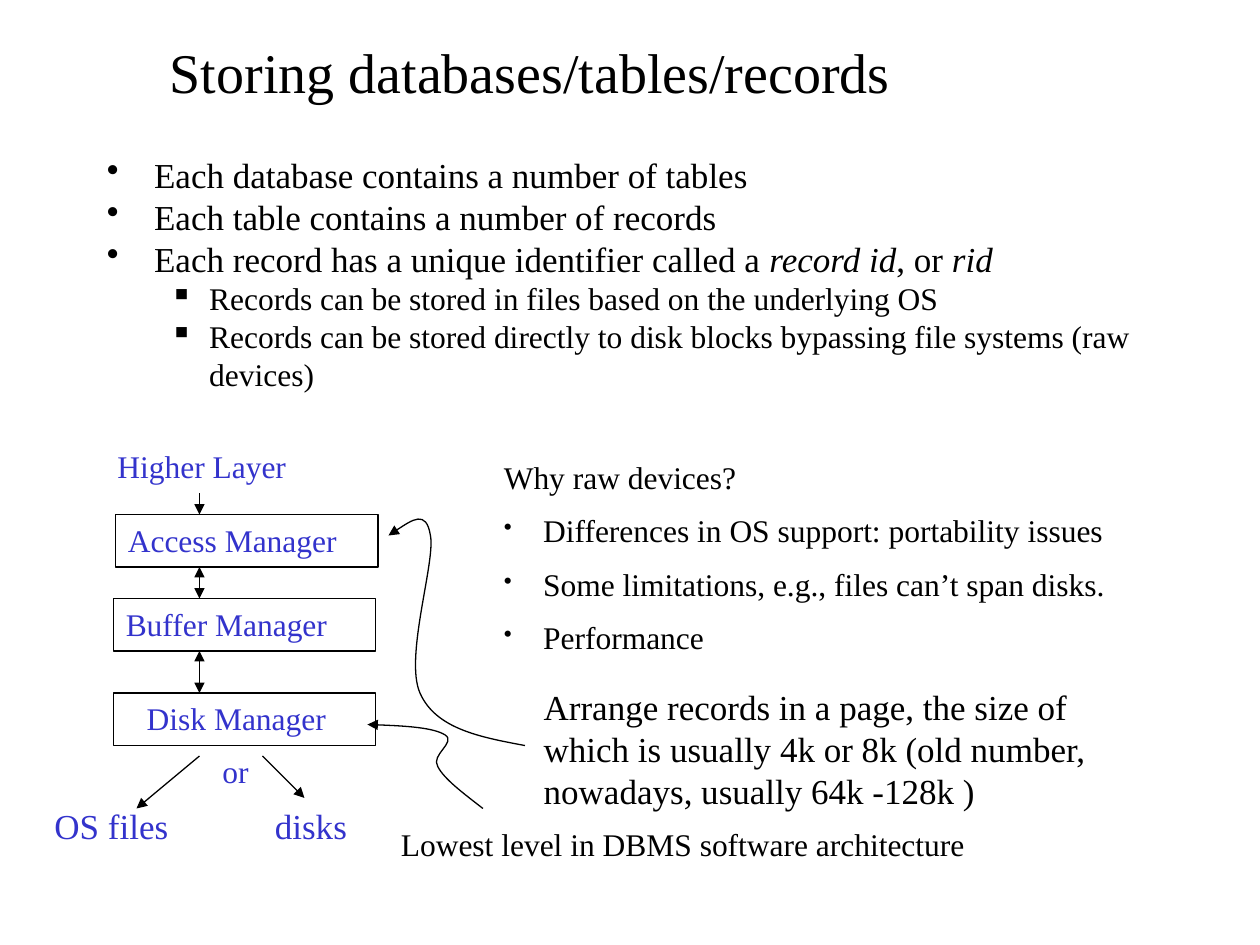
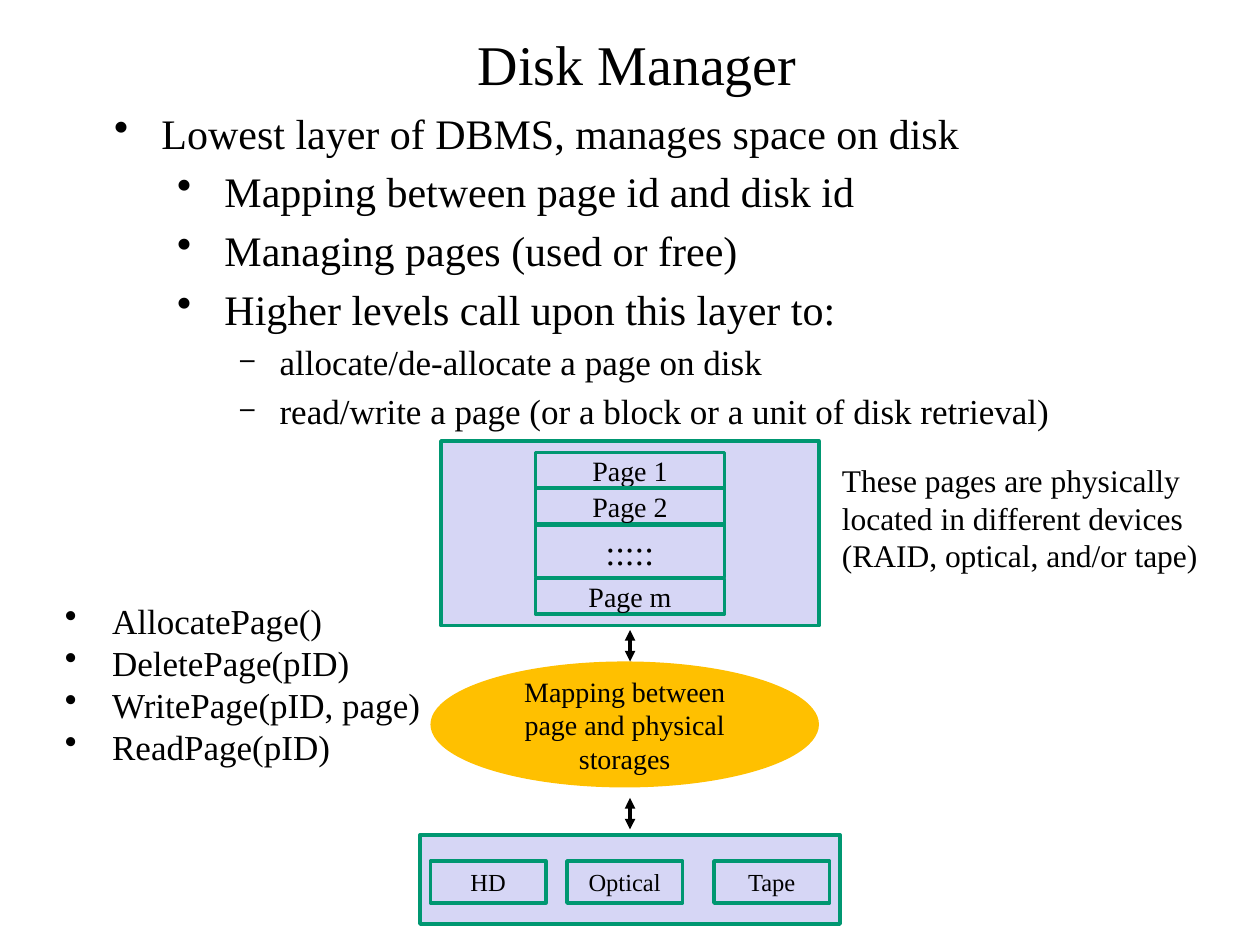
from dataclasses import dataclass
from typing import NamedTuple, Optional

from lxml import etree
from pptx import Presentation
from pptx import util as u
from pptx.dml.color import RGBColor
from pptx.enum import shapes, text
from pptx.oxml.ns import qn

# Shared look
FONT = "Times New Roman"
BLACK = RGBColor(0x00, 0x00, 0x00)
BLUE = RGBColor(0x33, 0x33, 0xCC)
LILAC = RGBColor(0xD6, 0xD6, 0xF5)
GREEN = RGBColor(0x00, 0x97, 0x71)
AMBER = RGBColor(0xFF, 0xC0, 0x00)
TITLE_SIZE = 32
THIN, THICK = 0.75, 2

# Grid of square cells
WIDTH, HEIGHT = u.Inches(10), u.Inches(7.5)
COLS = 120

LEFT, CENTER = text.PP_ALIGN.LEFT, text.PP_ALIGN.CENTER
TOP, MIDDLE = text.MSO_ANCHOR.TOP, text.MSO_ANCHOR.MIDDLE
RECT, OVAL = shapes.MSO_SHAPE.RECTANGLE, shapes.MSO_SHAPE.OVAL


class Box(NamedTuple):
    col: float
    row: float
    cols: float
    rows: float


class Point(NamedTuple):
    col: float
    row: float


class Run(NamedTuple):
    text: str
    italic: bool = False


@dataclass(frozen=True)
class Bullet:
    indent: float
    hang: float
    char: str = "•"
    percent: int = 100
    level: int = 0


@dataclass(frozen=True)
class Para:
    runs: tuple[Run, ...]
    size: float
    bullet: Optional[Bullet] = None
    space: float = 0  # share of the text size


@dataclass(frozen=True)
class Label:
    box: Box
    paras: list[Para]
    color: RGBColor = BLACK
    wrap: bool = False
    align: text.PP_ALIGN = LEFT
    anchor: text.MSO_ANCHOR = TOP


@dataclass(frozen=True)
class Node:
    box: Box
    caption: str = ""
    size: float = 16
    fill: Optional[RGBColor] = None
    line: Optional[RGBColor] = GREEN
    weight: float = THICK
    kind: shapes.MSO_SHAPE = RECT


@dataclass(frozen=True)
class Arrow:
    points: list[Point]  # two for a line, 3n + 1 for a curve
    head: bool = False
    tail: bool = True
    weight: float = THIN


def cell(n: float) -> u.Emu:
    return u.Emu(round(WIDTH * n / COLS))


def place(box: tuple[float, ...]) -> list[u.Emu]:
    return [cell(n) for n in box]


def paras(size: float, *lines: str, bullet: Optional[Bullet] = None,
          space: float = 0) -> list[Para]:
    return [Para((Run(line),), size, bullet, space) for line in lines]


# Text
def add_bullet(p, bullet: Bullet) -> None:
    p.level = bullet.level
    pPr = p._p.get_or_add_pPr()
    pPr.set("marL", str(cell(bullet.indent)))
    pPr.set("indent", str(-cell(bullet.hang)))
    color = etree.SubElement(pPr, qn("a:buClr"))
    etree.SubElement(color, qn("a:srgbClr"), val=str(BLACK))
    etree.SubElement(pPr, qn("a:buSzPct"), val=str(bullet.percent * 1000))
    etree.SubElement(pPr, qn("a:buChar"), char=bullet.char)


def write(tf, content: list[Para], color: RGBColor, align: text.PP_ALIGN,
          anchor: text.MSO_ANCHOR) -> None:
    tf.vertical_anchor = anchor
    for i, para in enumerate(content):
        p = tf.add_paragraph() if i else tf.paragraphs[0]
        if para.bullet:
            add_bullet(p, para.bullet)
        p.alignment = align
        if i and para.space:
            p.space_before = u.Pt(para.space * para.size)
        for run in para.runs:
            r = p.add_run()
            r.text = run.text
            r.font.name = FONT
            r.font.size = u.Pt(para.size)
            r.font.italic = run.italic
            r.font.color.rgb = color


def add_label(s, label: Label) -> None:
    tf = s.shapes.add_textbox(*place(label.box)).text_frame
    tf.word_wrap = label.wrap
    write(tf, label.paras, label.color, label.align, label.anchor)


# Shapes and arrows
def add_node(s, node: Node) -> None:
    sp = s.shapes.add_shape(node.kind, *place(node.box))
    sp.shadow.inherit = False
    if node.fill is None:
        sp.fill.background()
    else:
        sp.fill.solid()
        sp.fill.fore_color.rgb = node.fill
    if node.line is None:
        sp.line.fill.background()
    else:
        sp.line.color.rgb = node.line
        sp.line.width = u.Pt(node.weight)
    if node.caption:
        write(sp.text_frame, paras(node.size, node.caption), BLACK, CENTER, MIDDLE)


def add_curve(s, points: list[Point]):
    start, *rest = [place(point) for point in points]
    builder = s.shapes.build_freeform(*start)
    builder.add_line_segments(rest, close=False)
    sp = builder.convert_to_shape()
    sp.fill.background()
    # Every three segments become one Bézier piece
    outline = next(sp._element.iter(qn("a:path")))
    steps = outline.findall(qn("a:lnTo"))
    for i in range(0, len(steps), 3):
        bezier = etree.SubElement(outline, qn("a:cubicBezTo"))
        for step in steps[i:i + 3]:
            bezier.append(step[0])
            outline.remove(step)
    return sp


def add_arrow(s, arrow: Arrow) -> None:
    if len(arrow.points) == 2:
        start, end = arrow.points
        sp = s.shapes.add_connector(shapes.MSO_CONNECTOR.STRAIGHT,
                                    *place(start + end))
    else:
        sp = add_curve(s, arrow.points)
    sp.line.color.rgb = BLACK
    sp.line.width = u.Pt(arrow.weight)
    ln = sp.line._get_or_add_ln()
    for shown, tag in ((arrow.head, "a:headEnd"), (arrow.tail, "a:tailEnd")):
        if shown:
            etree.SubElement(ln, qn(tag), type="triangle")
    etree.SubElement(sp._element.spPr, qn("a:effectLst"))


def build_slide(prs, labels: list[Label], nodes: list[Node],
                arrows: list[Arrow]) -> None:
    s = prs.slides.add_slide(prs.slide_layouts[6])
    for node in nodes:
        add_node(s, node)
    for arrow in arrows:
        add_arrow(s, arrow)
    for label in labels:
        add_label(s, label)


# Bullet styles
MAIN = Bullet(4.5, 4.5)
SQUARE = Bullet(9.75, 3.75, "▪", level=1)
SMALL = Bullet(3.75, 3.75, percent=75)
SECOND = Bullet(10.5, 4.5, level=1)
DASH = Bullet(15.75, 3.75, "–", 75, 2)


def storing_slide(prs) -> None:
    facts = [
        *paras(20, "Each database contains a number of tables",
               "Each table contains a number of records", bullet=MAIN),
        Para((Run("Each record has a unique identifier called a "),
              Run("record id", True), Run(", or "), Run("rid", True)), 20, MAIN),
        *paras(18, "Records can be stored in files based on the underlying OS",
               "Records can be stored directly to disk blocks bypassing "
               "file systems (raw devices)", bullet=SQUARE),
    ]
    reasons = paras(18, "Why raw devices?") + paras(
        18, "Differences in OS support: portability issues",
        "Some limitations, e.g., files can’t span disks.", "Performance",
        bullet=SMALL, space=0.5)
    page_size = paras(20, "Arrange records in a page, the size of which is usually "
                          "4k or 8k (old number, nowadays, usually 64k -128k )")
    layers = [
        (Box(10, 42, 18.7, 4.8), "Higher Layer", 18),
        (Box(11, 49, 22.6, 4.8), "Access Manager", 18),
        (Box(10.8, 57, 21.8, 4.8), "Buffer Manager", 18),
        (Box(12.8, 66, 19.7, 4.8), "Disk Manager", 18),
        (Box(20, 71, 4.9, 4.8), "or", 18),
        (Box(4, 76, 13.3, 5.3), "OS files", 20),
        (Box(25, 76, 9.4, 5.3), "disks", 20),
    ]
    labels = [
        Label(Box(15, 3, 71.8, 7.7), paras(TITLE_SIZE, "Storing databases/tables/records")),
        Label(Box(9, 14, 105.8, 24.2), facts, wrap=True),
        Label(Box(46.8, 43, 70, 21.1), reasons, wrap=True),
        Label(Box(50.6, 64.7, 54.2, 13.3), page_size, wrap=True),
        Label(Box(37, 78, 56.6, 4.8),
              paras(18, "Lowest level in DBMS software architecture")),
        *[Label(box, paras(size, name), BLUE) for box, name, size in layers],
    ]
    frames = [Node(Box(col, row, 25, 5), line=BLACK, weight=THIN)
              for col, row in ((11, 49), (10.8, 57), (10.8, 66))]
    to_disk_manager = [Point(46, 77),
                       Point(44.2, 75.6), Point(42.3, 74.2), Point(41.7, 73),
                       Point(41, 71.9), Point(43.5, 70.7), Point(42.4, 70),
                       Point(41.3, 69.3), Point(38.2, 69.1), Point(35, 69)]
    to_access_manager = [Point(37, 51),
                         Point(38.8, 49.8), Point(40.6, 48.5), Point(41, 51),
                         Point(41.5, 53.5), Point(38.5, 62.6), Point(40, 66),
                         Point(41.5, 69.4), Point(45.7, 70.2), Point(50, 71)]
    arrows = [
        Arrow([Point(19, 47), Point(19, 49)]),
        Arrow([Point(19, 54), Point(19, 57)], head=True),
        Arrow([Point(19, 62), Point(19, 66)], head=True),
        Arrow([Point(19, 72), Point(13, 77)]),
        Arrow([Point(25, 72), Point(29, 76)]),
        Arrow(to_disk_manager),
        Arrow(to_access_manager, head=True, tail=False),
    ]
    build_slide(prs, labels, frames, arrows)


def disk_manager_slide(prs) -> None:
    duties = [
        *paras(24, "Lowest layer of DBMS, manages space on disk", bullet=MAIN),
        *paras(24, "Mapping between page id and disk id",
               "Managing pages (used or free)",
               "Higher levels call upon this layer to:", bullet=SECOND, space=0.2),
        *paras(20, "allocate/de-allocate a page on disk",
               "read/write a page (or a block or a unit of disk retrieval)",
               bullet=DASH, space=0.2),
    ]
    calls = paras(20, "AllocatePage()", "DeletePage(pID)", "WritePage(pID, page)",
                  "ReadPage(pID)", bullet=MAIN)
    devices_note = paras(18, "These pages are physically",
                         "located in different devices",
                         "(RAID, optical, and/or tape)")
    labels = [
        Label(Box(9.7, 2, 102, 8), paras(TITLE_SIZE, "Disk Manager"), wrap=True,
              align=CENTER, anchor=MIDDLE),
        Label(Box(9.7, 9.6, 107.3, 27.7), duties, wrap=True),
        Label(Box(79, 43.3, 36.7, 12.1), devices_note),
        Label(Box(5, 56.5, 36.5, 17.4), calls),
    ]
    pages = [("Page 1", 43.1, 3.4, 16), ("Page 2", 46.5, 3.4, 16),
             (":::::", 50, 5, 20), ("Page m", 55.1, 3.4, 16)]
    devices = [("HD", 41), ("Optical", 54), ("Tape", 68)]
    nodes = [
        Node(Box(40, 79.5, 40, 8.5), fill=LILAC),
        Node(Box(42, 42, 36, 17.6), fill=LILAC),
        *[Node(Box(51, row, 18, rows), name, size) for name, row, rows, size in pages],
        Node(Box(41, 63, 37, 12), "Mapping between page and physical storages",
             fill=AMBER, line=None, kind=OVAL),
        *[Node(Box(col, 82, 11, 4), name, 14, LILAC) for name, col in devices],
    ]
    arrows = [Arrow([Point(60, row), Point(60, row + 3)], head=True, weight=THICK)
              for row in (60, 76)]
    build_slide(prs, labels, nodes, arrows)


def main() -> None:
    prs = Presentation()
    prs.slide_width, prs.slide_height = WIDTH, HEIGHT
    storing_slide(prs)
    disk_manager_slide(prs)
    prs.save("out.pptx")


if __name__ == "__main__":
    main()
